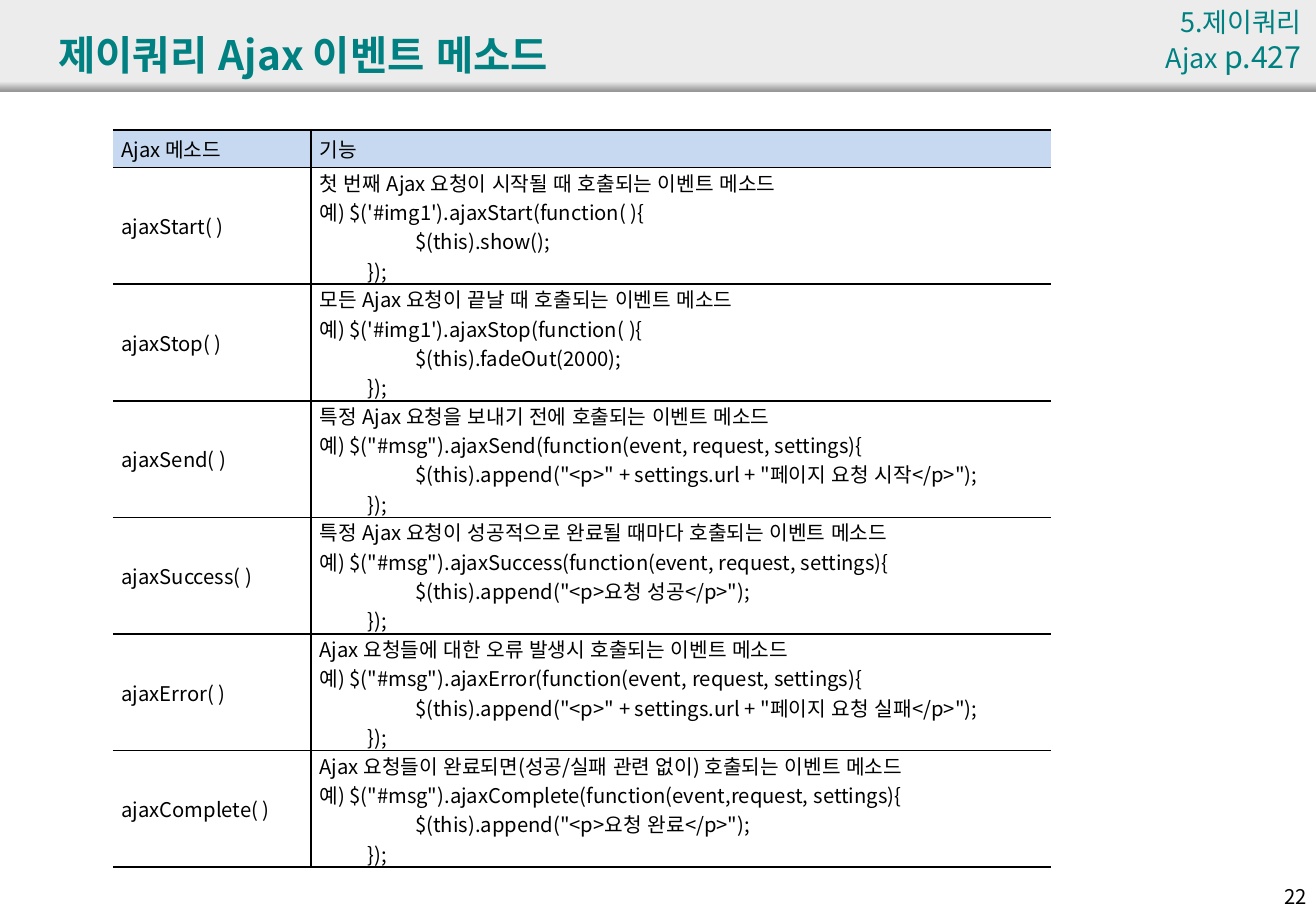
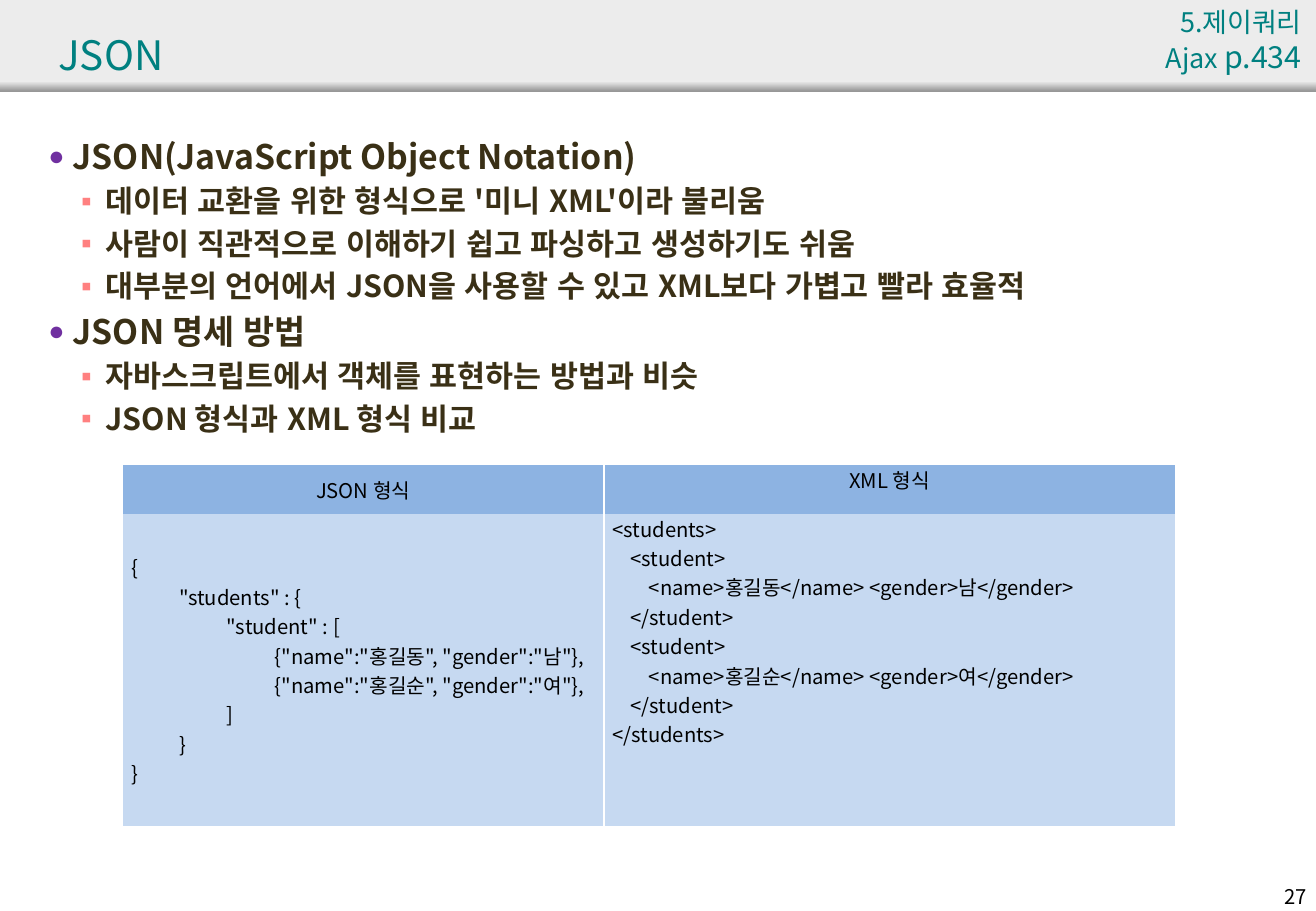
import pptx
import pptx.dml.color
import pptx.enum.lang
import pptx.enum.shapes
import pptx.enum.text
import pptx.oxml
import pptx.oxml.ns
import pptx.util

Inches, Pt = pptx.util.Inches, pptx.util.Pt
ALIGN, ANCHOR = pptx.enum.text.PP_ALIGN, pptx.enum.text.MSO_ANCHOR
FONT, BULLET_FONT = "Noto Sans CJK KR", "Arial"
TEAL, BLACK, BROWN = "008080", "000000", "3A3016"
PALE_BLUE, MID_BLUE, WHITE = "C6D9F1", "8DB3E2", "FFFFFF"
BAND, BAND_EDGE = "ECECEC", "979797"
NS = pptx.oxml.ns.nsdecls("a")
NO_BREAK_SPACE = chr(160)
CODE_TAB, XML_TAB = 1 / 2.54, 0.15


def rgb(code):
    return pptx.dml.color.RGBColor.from_string(code)


def style(paragraph, size, color, bold=False, align=ALIGN.LEFT):
    """Format every run, with the same font for Latin and Korean letters."""
    paragraph.alignment = align
    for run in paragraph.runs:
        font = run.font
        font.name, font.size, font.bold = FONT, Pt(size), bold
        font.language_id = pptx.enum.lang.MSO_LANGUAGE_ID.KOREAN
        font.color.rgb = rgb(color)
        latin = run._r.rPr.find(pptx.oxml.ns.qn("a:latin"))
        latin.addnext(pptx.oxml.parse_xml(f'<a:ea {NS} typeface="{FONT}"/>'))


# Each event: method, purpose, selector, arguments, statement
events = [
    ("ajaxStart", "첫 번째 Ajax 요청이 시작될 때 호출되는 이벤트 메소드",
     "'#img1'", " ", "show()"),
    ("ajaxStop", "모든 Ajax 요청이 끝날 때 호출되는 이벤트 메소드",
     "'#img1'", " ", "fadeOut(2000)"),
    ("ajaxSend", "특정 Ajax 요청을 보내기 전에 호출되는 이벤트 메소드",
     '"#msg"', "event, request, settings",
     'append("<p>" + settings.url + "페이지 요청 시작</p>")'),
    ("ajaxSuccess", "특정 Ajax 요청이 성공적으로 완료될 때마다 호출되는 이벤트 메소드",
     '"#msg"', "event, request, settings", 'append("<p>요청 성공</p>")'),
    ("ajaxError", "Ajax 요청들에 대한 오류 발생시 호출되는 이벤트 메소드",
     '"#msg"', "event, request, settings",
     'append("<p>" + settings.url + "페이지 요청 실패</p>")'),
    ("ajaxComplete", "Ajax 요청들이 완료되면(성공/실패 관련 없이) 호출되는 이벤트 메소드",
     '"#msg"', "event,request, settings", 'append("<p>요청 완료</p>")'),
]
event_rows = [["Ajax 메소드", "기능"]]
for method, purpose, selector, arguments, statement in events:
    event_rows.append([f"{method}( )", "\n".join([
        purpose,
        f"예) $({selector}).{method}(function({arguments}){{",
        f"\t\t$(this).{statement};",
        "\t});",
    ])])

students = [("홍길동", "남"), ("홍길순", "여")]
json_lines = ["{", '\t"students" : {', '\t\t"student" : [']
xml_lines = ["<students>"]
for name, gender in students:
    record = f'{{"name":"{name}", "gender":"{gender}"}},'
    json_lines.append("\t\t\t" + record.replace(" ", NO_BREAK_SPACE))
    xml_lines += ["\t<student>",
                  f"\t\t<name>{name}</name> <gender>{gender}</gender>",
                  "\t</student>"]
json_lines += ["\t\t]", "\t}", "}"]
xml_lines.append("</students>")
format_rows = [["JSON 형식", "XML 형식"],
               ["\n".join(json_lines), "\n".join(xml_lines)]]

outline = [
    (0, "JSON(JavaScript Object Notation)"),
    (1, "데이터 교환을 위한 형식으로 '미니 XML'이라 불리움"),
    (1, "사람이 직관적으로 이해하기 쉽고 파싱하고 생성하기도 쉬움"),
    (1, "대부분의 언어에서 JSON을 사용할 수 있고 XML보다 가볍고 빨라 효율적"),
    (0, "JSON 명세 방법"),
    (1, "자바스크립트에서 객체를 표현하는 방법과 비슷"),
    (1, "JSON 형식과 XML 형식 비교"),
]
# Each level: size, left margin, bullet, bullet colour, bullet size in percent
levels = [(20, 0.2, "●", "7030A0", 80), (18, 0.47, "▪", "FF8080", 100)]

pages = [
    dict(title="제이쿼리 Ajax 이벤트 메소드", bold=True, book_page="p.427", number="22",
         outline=[], rows=event_rows, at=(0.93, 1.07), widths=[1.63, 6.09],
         heights=[0.31] + [0.96] * len(events), fills=[PALE_BLUE, None],
         head_align=ALIGN.JUSTIFY, body_align=ALIGN.JUSTIFY,
         anchors=[ANCHOR.MIDDLE, ANCHOR.MIDDLE], insets=[0, 0],
         tabs=[CODE_TAB, CODE_TAB], rule=(BLACK, 1), row_rules=True),
    dict(title="JSON", bold=False, book_page="p.434", number="27",
         outline=outline, rows=format_rows, at=(1.01, 3.83), widths=[3.96, 4.7],
         heights=[0.4, 2.57], fills=[MID_BLUE, PALE_BLUE],
         head_align=ALIGN.CENTER, body_align=ALIGN.LEFT,
         anchors=[ANCHOR.MIDDLE, ANCHOR.TOP], insets=[0.08, 0],
         tabs=[CODE_TAB, XML_TAB], rule=(WHITE, 1.5), row_rules=False),
]

prs = pptx.Presentation()
prs.slide_width, prs.slide_height = Inches(10.83), Inches(7.5)
layout = prs.slide_layouts[5]
title_frame = layout.placeholders[0]
title_frame.left, title_frame.top = Inches(0.38), Inches(0.13)
title_frame.width, title_frame.height = Inches(9.92), Inches(0.63)

for page in pages:
    slide = prs.slides.add_slide(layout)

    # The header band is drawn once and handed to the layout
    if page is pages[0]:
        for index, (top, height) in enumerate([(0, 0.75), (0.67, 0.08)]):
            band = slide.shapes.add_shape(pptx.enum.shapes.MSO_SHAPE.RECTANGLE, 0,
                                          Inches(top), prs.slide_width, Inches(height))
            band.shadow.inherit = False
            band.line.fill.background()
            if index == 0:
                band.fill.solid()
                band.fill.fore_color.rgb = rgb(BAND)
            else:
                band.fill.gradient()
                band.fill.gradient_angle = 270
                for stop, color in zip(band.fill.gradient_stops, (BAND, BAND_EDGE)):
                    stop.color.rgb = rgb(color)
            layout.shapes.element.insert(2 + index, band.element)

    title = slide.shapes.title.text_frame
    title.text = page["title"]
    title.auto_size = pptx.enum.text.MSO_AUTO_SIZE.NONE
    title.vertical_anchor = ANCHOR.MIDDLE
    style(title.paragraphs[0], 24, TEAL, page["bold"])

    chapter = slide.shapes.add_textbox(Inches(9.02), 0, Inches(1.79), Inches(0.75)).text_frame
    chapter.word_wrap = True
    chapter.text = "5.제이쿼리 Ajax" + NO_BREAK_SPACE
    chapter.paragraphs[0].add_run().text = page["book_page"]
    style(chapter.paragraphs[0], 16, TEAL, align=ALIGN.RIGHT)
    chapter.paragraphs[0].runs[1].font.size = Pt(18)

    number = slide.shapes.add_textbox(Inches(10.3), Inches(7.23), Inches(0.55),
                                      Inches(0.3)).text_frame
    number.word_wrap = True
    number.text = page["number"]
    style(number.paragraphs[0], 12, BLACK, align=ALIGN.RIGHT)

    if page["outline"]:
        body = slide.shapes.add_textbox(Inches(0.3), Inches(1.07), Inches(10.32),
                                        Inches(2.7)).text_frame
        body.word_wrap = True
        body.text = "\n".join(text for level, text in page["outline"])
        for paragraph, (level, text) in zip(body.paragraphs, page["outline"]):
            size, margin, bullet, bullet_color, percent = levels[level]
            style(paragraph, size, BROWN, True)
            paragraph.level = level
            paragraph.space_before = Pt(0.2 * size)
            props = paragraph._p.get_or_add_pPr()
            props.set("marL", str(Inches(margin)))
            props.set("indent", str(Inches(-0.2)))
            for xml in (f'<a:buClr {NS}><a:srgbClr val="{bullet_color}"/></a:buClr>',
                        f'<a:buSzPct {NS} val="{percent * 1000}"/>',
                        f'<a:buFont {NS} typeface="{BULLET_FONT}"/>',
                        f'<a:buChar {NS} char="{bullet}"/>'):
                props.append(pptx.oxml.parse_xml(xml))

    left, top = page["at"]
    rows, widths, heights = page["rows"], page["widths"], page["heights"]
    table = slide.shapes.add_table(len(rows), len(widths), Inches(left), Inches(top),
                                   Inches(sum(widths)), Inches(sum(heights))).table
    table.first_row = table.horz_banding = False
    # The table style without fills and grid
    table._tbl.tblPr[0].text = "{2D5ABB26-0587-4C30-8999-92F81FD0307C}"
    for column, width in zip(table.columns, widths):
        column.width = Inches(width)
    rule_color, rule_width = page["rule"]
    for r, texts in enumerate(rows):
        table.rows[r].height = Inches(heights[r])
        fill = page["fills"][min(r, 1)]
        for c, text in enumerate(texts):
            cell = table.cell(r, c)
            cell.margin_left = cell.margin_right = Inches(0.07)
            cell.margin_top = cell.margin_bottom = Inches(page["insets"][c])
            cell.vertical_anchor = page["anchors"][c]
            if fill:
                cell.fill.solid()
                cell.fill.fore_color.rgb = rgb(fill)
            else:
                cell.fill.background()
            cell.text_frame.text = text
            stops = "".join(f'<a:tab pos="{Inches(page["tabs"][c] * n)}" algn="l"/>'
                            for n in range(1, 5))
            for paragraph in cell.text_frame.paragraphs:
                style(paragraph, 12, BLACK,
                      align=page["body_align"] if r else page["head_align"])
                paragraph._p.get_or_add_pPr().append(
                    pptx.oxml.parse_xml(f"<a:tabLst {NS}>{stops}</a:tabLst>"))
            sides = ["lnL" if c else "lnR"] + ["lnT", "lnB"] * page["row_rules"]
            for position, side in enumerate(sides):
                cell._tc.get_or_add_tcPr().insert(position, pptx.oxml.parse_xml(
                    f'<a:{side} {NS} w="{Pt(rule_width)}"><a:solidFill>'
                    f'<a:srgbClr val="{rule_color}"/></a:solidFill></a:{side}>'))

prs.save("out.pptx")
